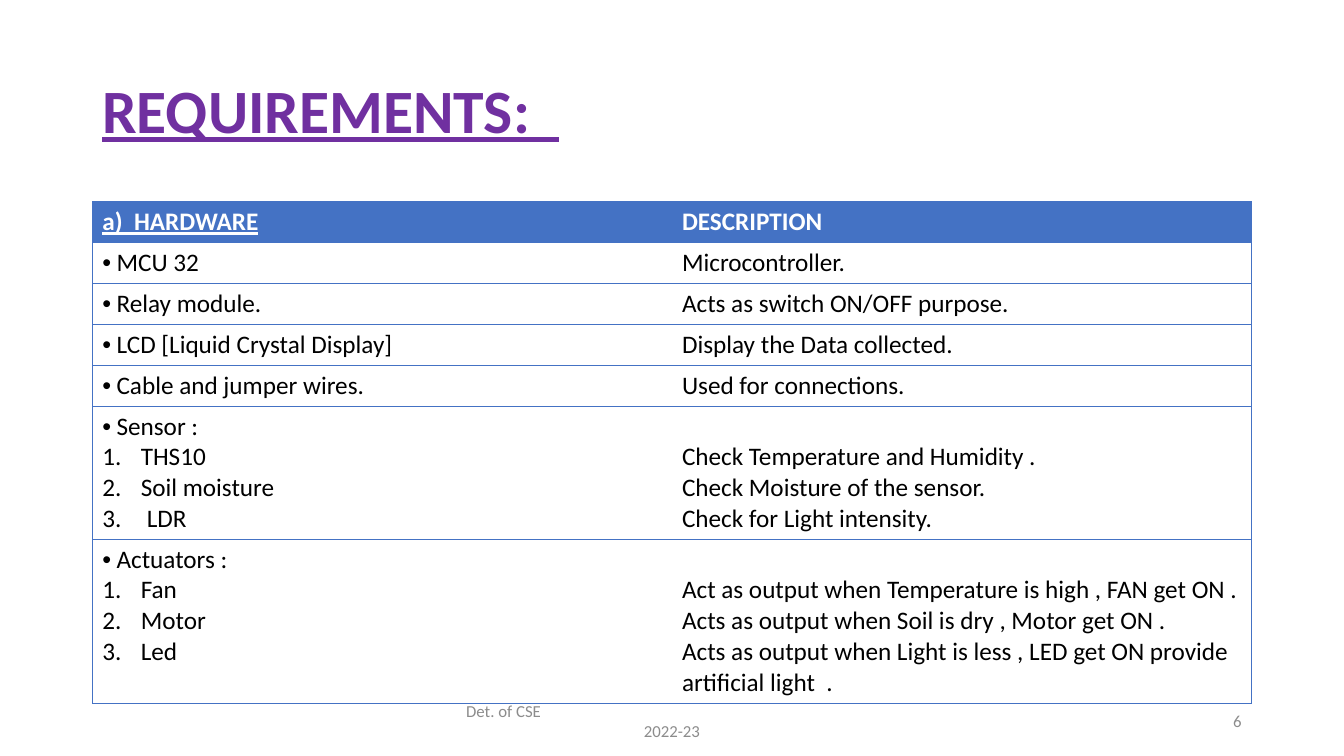
import dataclasses

import lxml.etree
import pptx
import pptx.dml.color
import pptx.enum.text
import pptx.oxml.ns
import pptx.util

Align = pptx.enum.text.PP_ALIGN
Anchor = pptx.enum.text.MSO_ANCHOR
RGBColor = pptx.dml.color.RGBColor

PURPLE = RGBColor(0x70, 0x30, 0xA0)
BLUE = RGBColor(0x44, 0x72, 0xC4)
WHITE = RGBColor(0xFF, 0xFF, 0xFF)
BLACK = RGBColor(0, 0, 0)
GREY = RGBColor(0x8C, 0x8C, 0x8C)

FONT = "Calibri"
GRID_UNIT = pptx.util.Inches(1) // 12
GRID_COLUMNS, GRID_ROWS = 160, 90
BODY_LINE = pptx.util.Pt(21.96)
CELL_MARGIN = pptx.util.Pt(3.6)
BORDER_WIDTH = pptx.util.Pt(0.5)


@dataclasses.dataclass(frozen=True)
class Style:
    size: float
    color: RGBColor
    bold: bool = False
    underline: bool = False


@dataclasses.dataclass(frozen=True)
class Line:
    text: str
    style: Style
    align: Align = Align.LEFT
    margin: float = 0
    hanging: bool = False
    bullet: str = ""
    spacing: float = 1


@dataclasses.dataclass(frozen=True)
class Area:
    left: float
    top: float
    width: float
    height: float
    lines: tuple[Line, ...]


@dataclasses.dataclass(frozen=True)
class Requirement:
    hardware: tuple[Line, ...]
    description: tuple[Line, ...]
    rows: int = 1
    skipped: int = 0
    header: bool = False


BODY = Style(18, BLACK)
HEADING = Style(18, WHITE, bold=True)
HEADING_UNDERLINED = Style(18, WHITE, bold=True, underline=True)
TITLE = Style(44, PURPLE, bold=True, underline=True)
FOOTER = Style(12, GREY)


def grid(units: float) -> int:
    return int(units * GRID_UNIT)


def bulleted(text: str) -> Line:
    return Line(text, BODY, margin=0.14, hanging=True, bullet="•")


def numbered(text: str, margin: float = 0.38) -> Line:
    return Line(text, BODY, margin=margin, hanging=True, bullet="1.")


def plain(text: str) -> Line:
    return Line(text, BODY)


AREAS = (
    Area(11, 4.8, 138, 17.4, (Line("REQUIREMENTS:  ", TITLE, spacing=0.9),)),
    Area(53, 83.4, 54, 4.8, (
        Line("Det. of CSE", FOOTER, margin=0.11),
        Line("2022-23", FOOTER, align=Align.CENTER),
    )),
    Area(113, 83.4, 36, 4.8, (Line("6", FOOTER, align=Align.RIGHT),)),
)

REQUIREMENTS = (
    Requirement(
        (Line("a)  HARDWARE", HEADING_UNDERLINED),),
        (Line("DESCRIPTION", HEADING),),
        header=True,
    ),
    Requirement((bulleted("MCU 32"),), (plain("Microcontroller."),)),
    Requirement((bulleted("Relay module."),), (plain("Acts as switch ON/OFF purpose."),)),
    Requirement((bulleted("LCD [Liquid Crystal Display]"),), (plain("Display the Data collected."),)),
    Requirement((bulleted("Cable and jumper wires."),), (plain("Used for connections."),)),
    Requirement(
        (bulleted("Sensor :"), numbered("THS10"), numbered("Soil moisture"), numbered("LDR", 0.44)),
        (
            plain("Check Temperature and Humidity ."),
            plain("Check Moisture of the sensor."),
            plain("Check for Light intensity."),
        ),
        rows=4,
        skipped=1,
    ),
    Requirement(
        (bulleted("Actuators :"), numbered("Fan"), numbered("Motor"), numbered("Led")),
        (
            plain("Act as output when Temperature is high , FAN get ON ."),
            plain("Acts as output when Soil is dry , Motor get ON ."),
            plain("Acts as output when Light is less , LED get ON provide artificial light  ."),
        ),
        rows=5,
        skipped=1,
    ),
)


def add_element(parent, tag: str, **attributes: str):
    return lxml.etree.SubElement(parent, pptx.oxml.ns.qn(tag), attributes)


def write_lines(frame, lines: tuple[Line, ...]) -> None:
    for index, line in enumerate(lines):
        paragraph = frame.add_paragraph() if index else frame.paragraphs[0]
        paragraph.alignment = line.align
        paragraph.line_spacing = line.spacing
        properties = paragraph._p.get_or_add_pPr()
        margin = pptx.util.Inches(line.margin)
        properties.set("marL", str(margin))
        properties.set("indent", str(-margin if line.hanging else 0))
        if line.bullet == "•":
            add_element(properties, "a:buFont", typeface="Arial")
            add_element(properties, "a:buChar", char=line.bullet)
        elif line.bullet:
            add_element(properties, "a:buFont", typeface=FONT)
            add_element(properties, "a:buAutoNum", type="arabicPeriod")
        run = paragraph.add_run()
        run.text = line.text
        run.font.name = FONT
        run.font.size = pptx.util.Pt(line.style.size)
        run.font.bold = line.style.bold
        run.font.underline = line.style.underline
        run.font.color.rgb = line.style.color


def add_area(slide, area: Area) -> None:
    box = slide.shapes.add_textbox(*map(grid, (area.left, area.top, area.width, area.height)))
    box.text_frame.word_wrap = True
    box.text_frame.vertical_anchor = Anchor.MIDDLE
    write_lines(box.text_frame, area.lines)


def border_cell(cell, drawn_sides: str) -> None:
    properties = cell._tc.get_or_add_tcPr()
    for side in "LRTB":
        border = add_element(properties, f"a:ln{side}", w=str(BORDER_WIDTH))
        if side in drawn_sides:
            fill = add_element(border, "a:solidFill")
            add_element(fill, "a:srgbClr", val=str(BLUE))
        else:
            add_element(border, "a:noFill")


def add_requirements(slide) -> None:
    heights = [item.rows * BODY_LINE + 2 * CELL_MARGIN for item in REQUIREMENTS]
    table = slide.shapes.add_table(
        len(REQUIREMENTS), 2, grid(11), grid(24), grid(138), sum(heights)
    ).table
    for row, (item, height) in enumerate(zip(REQUIREMENTS, heights)):
        table.rows[row].height = height
        columns = ((item.hardware, "LTB", 0), (item.description, "RTB", item.skipped))
        for column, (lines, sides, skipped) in enumerate(columns):
            cell = table.cell(row, column)
            cell.margin_top = CELL_MARGIN + skipped * BODY_LINE
            cell.margin_bottom = CELL_MARGIN
            border_cell(cell, sides)
            if item.header:
                cell.fill.solid()
                cell.fill.fore_color.rgb = BLUE
            else:
                cell.fill.background()
            write_lines(cell.text_frame, lines)


def main() -> None:
    deck = pptx.Presentation()
    deck.slide_width = grid(GRID_COLUMNS)
    deck.slide_height = grid(GRID_ROWS)
    slide = deck.slides.add_slide(deck.slide_layouts[6])
    add_requirements(slide)
    for area in AREAS:
        add_area(slide, area)
    deck.save("out.pptx")


if __name__ == "__main__":
    main()
